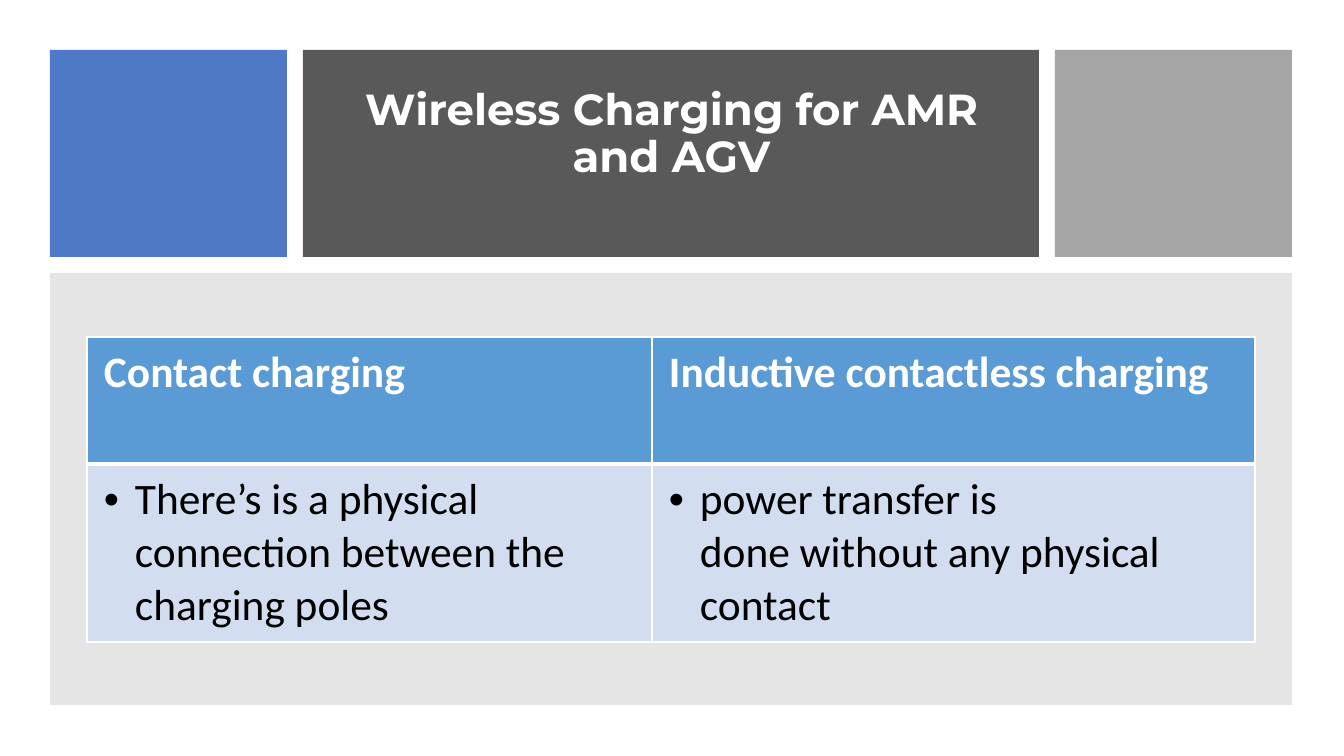
from dataclasses import dataclass
from lxml.etree import SubElement
from pptx import Presentation
from pptx.dml.color import RGBColor as RGB
from pptx.enum.shapes import MSO_SHAPE as SHAPE
from pptx.enum.text import MSO_ANCHOR as ANCHOR, MSO_AUTO_SIZE as AUTO, PP_ALIGN as ALIGN
from pptx.oxml.ns import qn
from pptx.util import Pt

PX = 914400 / 100.8


@dataclass(frozen=True)
class Theme:
    white: str = "FFFFFF"
    black: str = "000000"
    blue: str = "4472C4"
    dark: str = "595959"
    gray: str = "A5A5A5"
    panel: str = "808080"
    header: str = "5B9BD5"
    body: str = "D2DEEF"
    title_font: str = "Montserrat"
    table_font: str = "Calibri"
    size: int = 31
    thin: int = 1
    thick: int = 3


T = Theme()
MARGIN, GAP, TOP, BAND_H = 50, 16, 50, 207
SIDE_W, BANNER_W = 237, 736
COLS, ROWS = (565, 603), (127, 178)
CELLS = (
    ("Contact charging", "Inductive\u00a0contactless charging"),
    ("There\u2019s is a\u00a0physical connection between the charging poles",
     "power transfer is done\u00a0without any physical contact"),
)


def px(n):
    return round(n * PX)


def style(p, font, color, bold):
    p.font.name, p.font.size, p.font.bold = font, Pt(T.size), bold
    p.font.color.rgb = RGB.from_string(color)


def add_block(slide, x, y, w, h, color, opacity=100):
    sp = slide.shapes.add_shape(SHAPE.RECTANGLE, px(x), px(y), px(w), px(h))
    sp.shadow.inherit = False
    sp.line.fill.background()
    sp.fill.solid()
    sp.fill.fore_color.rgb = RGB.from_string(color)
    if opacity < 100:
        clr = sp.element.spPr.find(qn("a:solidFill"))[0]
        SubElement(clr, qn("a:alpha"), val=str(opacity * 1000))
    return sp


def set_title(slide, text, banner):
    sp = slide.shapes.title
    banner.element.addnext(sp.element)  # bring in front of the banner
    sp.left, sp.top, sp.width, sp.height = map(px, (336, 81, 671, 157))
    tf = sp.text_frame
    tf.text = text
    tf.word_wrap, tf.auto_size = True, AUTO.NONE
    tf.vertical_anchor, tf.margin_top = ANCHOR.TOP, px(7)
    p = tf.paragraphs[0]
    p.alignment, p.line_spacing = ALIGN.CENTER, 0.9
    style(p, T.title_font, T.white, True)


def set_borders(cell, top, bottom):
    tc_pr = cell._tc.get_or_add_tcPr()
    for side, width in zip("LRTB", (T.thin, T.thin, top, bottom)):
        ln = SubElement(tc_pr, qn(f"a:ln{side}"), w=str(Pt(width)))
        SubElement(SubElement(ln, qn("a:solidFill")), qn("a:srgbClr"), val=T.white)


def add_bullet(p):
    p_pr = p._p.get_or_add_pPr()
    p_pr.set("marL", str(px(31)))
    p_pr.set("indent", str(px(-31)))
    SubElement(p_pr, qn("a:buFont"), typeface="Arial")
    SubElement(p_pr, qn("a:buChar"), char="\u2022")


def fill_cell(cell, text, is_header):
    cell.text = text
    cell.margin_left = cell.margin_right = px(17)
    cell.margin_top = cell.margin_bottom = px(9)
    p = cell.text_frame.paragraphs[0]
    if is_header:
        set_borders(cell, T.thin, T.thick)
    else:
        set_borders(cell, T.thick, T.thin)
        add_bullet(p)
    cell.fill.solid()
    cell.fill.fore_color.rgb = RGB.from_string(T.header if is_header else T.body)
    style(p, T.table_font, T.white if is_header else T.black, is_header)


def add_comparison(slide, x, y):
    table = slide.shapes.add_table(len(ROWS), len(COLS), px(x), px(y),
                                   px(sum(COLS)), px(sum(ROWS))).table
    for col, w in zip(table.columns, COLS):
        col.width = px(w)
    for row, h in zip(table.rows, ROWS):
        row.height = px(h)
    for r, texts in enumerate(CELLS):
        for c, text in enumerate(texts):
            fill_cell(table.cell(r, c), text, r == 0)


def main():
    prs = Presentation()
    prs.slide_width, prs.slide_height = px(1344), px(756)
    slide = prs.slides.add_slide(prs.slide_layouts[5])

    # Top band: accent, title banner, accent
    banner_x = MARGIN + SIDE_W + GAP
    right_x = banner_x + BANNER_W + GAP
    add_block(slide, MARGIN, TOP, SIDE_W, BAND_H, T.blue, 95)
    banner = add_block(slide, banner_x, TOP, BANNER_W, BAND_H, T.dark)
    set_title(slide, "Wireless Charging for AMR and AGV", banner)
    add_block(slide, right_x, TOP, SIDE_W, BAND_H, T.gray)

    # Lower panel with the comparison table
    add_block(slide, MARGIN, TOP + BAND_H + GAP, right_x + SIDE_W - MARGIN, 432, T.panel, 20)
    add_comparison(slide, 87, 337)

    prs.save("out.pptx")


main()
